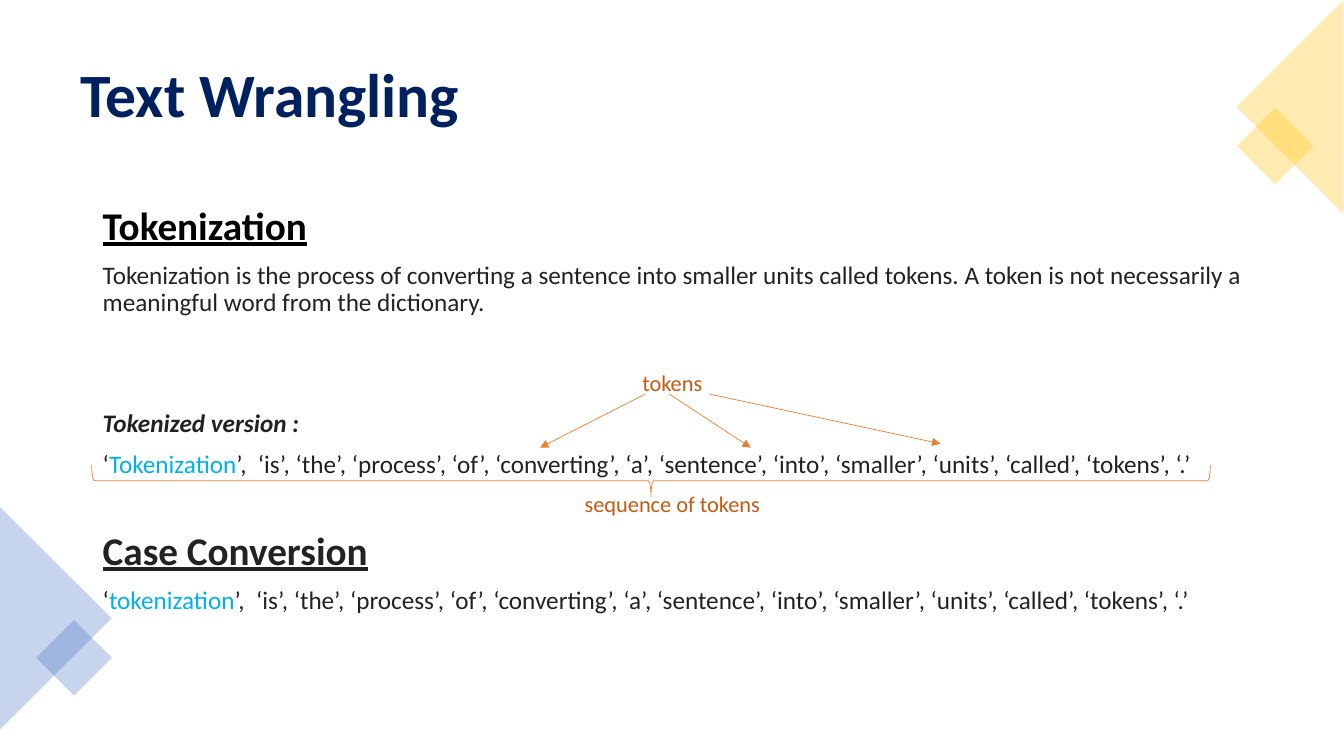
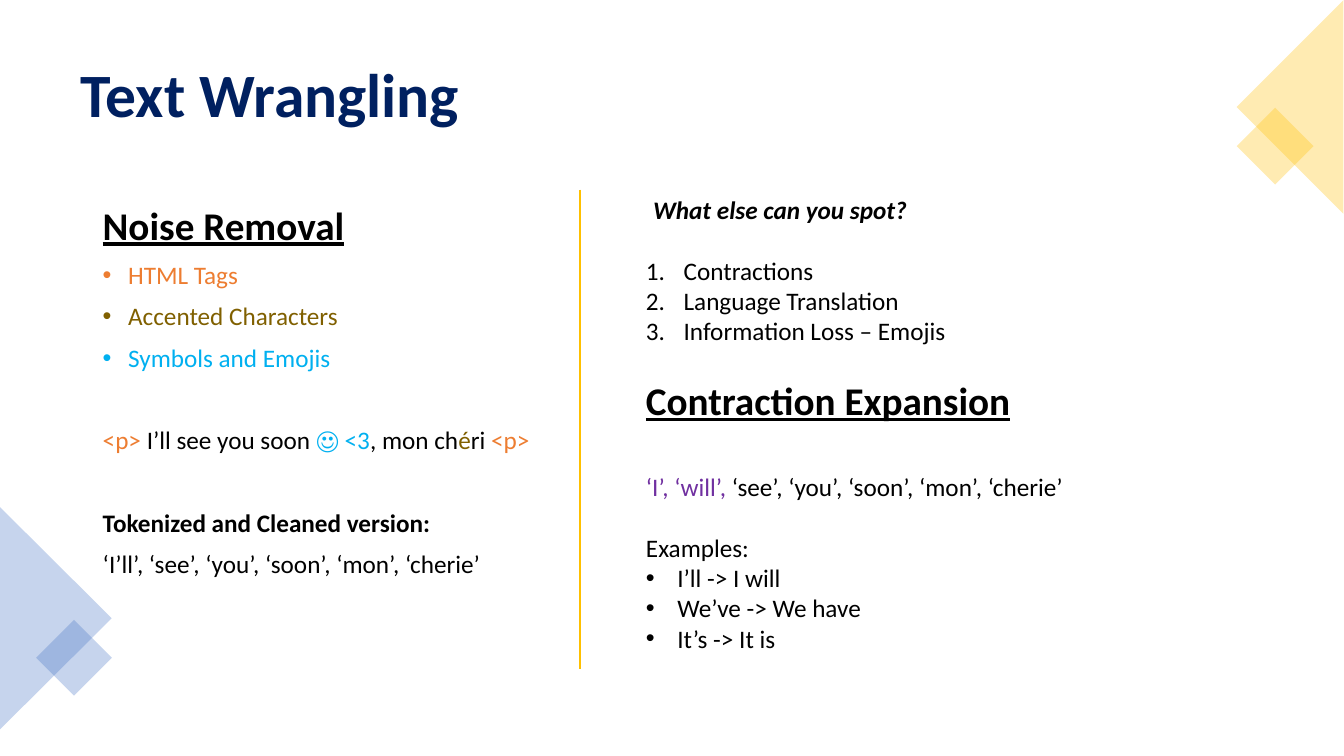
import dataclasses
import typing

import lxml.etree
import pptx
import pptx.dml.color
import pptx.enum.shapes
import pptx.enum.text
import pptx.oxml.ns
import pptx.slide
import pptx.text.text
import pptx.util

Cm = pptx.util.Cm
Pt = pptx.util.Pt
KIND = pptx.enum.shapes.MSO_SHAPE
ALIGN = pptx.enum.text.PP_ALIGN


@dataclasses.dataclass(frozen=True)
class Theme:
    """Colours, font and type sizes of the deck."""
    font: str = "Calibri"
    navy: str = "002060"
    black: str = "000000"
    ink: str = "222222"
    blue: str = "4472C4"
    gold: str = "FFC000"
    sky: str = "00B0F0"
    rust: str = "C55A11"
    coral: str = "ED7D31"
    olive: str = "806000"
    plum: str = "7030A0"
    title: float = 44
    head: float = 28
    text: float = 18
    note: float = 16
    tight: float = 0.9
    gap: float = 10
    wide: float = 39.5
    thin: float = 0.5


THEME = Theme()


@dataclasses.dataclass(frozen=True)
class Run:
    """A stretch of text in one format."""
    text: str
    hue: str = THEME.black
    size: float = THEME.text
    bold: bool = False
    slant: bool = False
    under: bool = False


@dataclasses.dataclass(frozen=True)
class Para:
    """A paragraph; mark is a bullet tag and hang its indent in cm."""
    runs: tuple[Run, ...]
    before: float = 0
    space: float = 1
    mark: str = ""
    hang: float = 0
    align: typing.Any = ALIGN.LEFT


@dataclasses.dataclass(frozen=True)
class Box:
    """A frame in cm with its turn in degrees."""
    left: float
    top: float
    width: float
    height: float
    turn: float = 0


@dataclasses.dataclass(frozen=True)
class Stroke:
    """A straight line in cm, with or without an arrowhead."""
    start: tuple[float, float]
    end: tuple[float, float]
    hue: str
    width: float
    arrow: bool = False


@dataclasses.dataclass(frozen=True)
class Corner:
    """A large triangle and a small diamond in one colour."""
    hue: str
    wedge: Box
    gem: Box


TITLE = Box(1.78, 0.89, 30.3, 3.15)
BODY = Box(2.34, 5.08, 29.21, 12.09)
CORNERS = (
    Corner(THEME.blue, Box(-1.4, 14.17, 5.61, 2.82, 90), Box(1.19, 15.9, 1.35, 1.35, 45)),
    Corner(THEME.gold, Box(29.82, 1.35, 5.38, 2.69, 270), Box(31.45, 3, 1.37, 1.37, 45)),
)


def tint(hue: str) -> pptx.dml.color.RGBColor:
    """Turn a hex code into a colour."""
    return pptx.dml.color.RGBColor.from_string(hue)


def sub(node: typing.Any, tag: str, **attrs: str) -> None:
    """Append a drawing element to a node."""
    lxml.etree.SubElement(node, pptx.oxml.ns.qn(tag), attrs)


def place(shape: typing.Any, box: Box) -> None:
    """Move and size a shape."""
    shape.left, shape.top = Cm(box.left), Cm(box.top)
    shape.width, shape.height = Cm(box.width), Cm(box.height)


def write(frame: pptx.text.text.TextFrame, paras: tuple[Para, ...]) -> None:
    """Fill a text frame run by run."""
    frame.word_wrap = True
    frame.auto_size = pptx.enum.text.MSO_AUTO_SIZE.NONE
    for spot, para in enumerate(paras):
        line = frame.add_paragraph() if spot else frame.paragraphs[0]
        line.alignment = para.align
        line.line_spacing = para.space
        line.space_before = Pt(para.before)
        if para.mark:
            props = line._p.get_or_add_pPr()
            props.set("marL", str(Cm(para.hang)))
            props.set("indent", str(-Cm(para.hang)))
            if para.mark == "number":
                sub(props, "a:buAutoNum", type="arabicPeriod")
            else:
                sub(props, "a:buFont", typeface="Arial")
                sub(props, "a:buChar", char=para.mark)
        for item in para.runs:
            run = line.add_run()
            run.text = item.text
            font = run.font
            font.name, font.size = THEME.font, Pt(item.size)
            font.bold, font.italic, font.underline = item.bold, item.slant, item.under
            font.color.rgb = tint(item.hue)


def add_text(slide: pptx.slide.Slide, box: Box, paras: tuple[Para, ...]) -> None:
    """Add a wrapped text box."""
    shape = slide.shapes.add_textbox(0, 0, 0, 0)
    place(shape, box)
    write(shape.text_frame, paras)


def add_shape(shapes: typing.Any, kind: typing.Any, box: Box) -> typing.Any:
    """Add a turned preset shape without shadow."""
    shape = shapes.add_shape(kind, 0, 0, 0, 0)
    place(shape, box)
    shape.rotation = box.turn
    shape.shadow.inherit = False
    return shape


def add_corner(slide: pptx.slide.Slide, corner: Corner) -> None:
    """Group the two sheer shapes of a corner."""
    group = slide.shapes.add_group_shape()
    for kind, box in ((KIND.ISOSCELES_TRIANGLE, corner.wedge), (KIND.RECTANGLE, corner.gem)):
        shape = add_shape(group.shapes, kind, box)
        shape.fill.solid()
        shape.fill.fore_color.rgb = tint(corner.hue)
        shape.line.fill.background()
        for node in shape._element.spPr.iter(pptx.oxml.ns.qn("a:srgbClr")):
            sub(node, "a:alpha", val="30000")


def add_brace(slide: pptx.slide.Slide, box: Box) -> None:
    """Add a thin brace."""
    brace = add_shape(slide.shapes, KIND.RIGHT_BRACE, box)
    brace.fill.background()
    brace.line.color.rgb = tint(THEME.coral)
    brace.line.width = Pt(THEME.thin)


def add_stroke(slide: pptx.slide.Slide, stroke: Stroke) -> None:
    """Draw a line or arrow."""
    ends = [Cm(part) for part in stroke.start + stroke.end]
    line = slide.shapes.add_connector(pptx.enum.shapes.MSO_CONNECTOR.STRAIGHT, *ends)
    line.line.color.rgb = tint(stroke.hue)
    line.line.width = Pt(stroke.width)
    if stroke.arrow:
        sub(line.line._get_or_add_ln(), "a:tailEnd", type="triangle")
    sub(line._element.spPr, "a:effectLst")


def add_slide(deck: typing.Any, title: str) -> pptx.slide.Slide:
    """Start a slide with its title and corners."""
    slide = deck.slides.add_slide(deck.slide_layouts.get_by_name("Title Only"))
    head = slide.shapes.title
    place(head, TITLE)
    head.text_frame.vertical_anchor = pptx.enum.text.MSO_ANCHOR.MIDDLE
    run = Run(title, THEME.navy, THEME.title, bold=True)
    write(head.text_frame, (Para((run,), space=THEME.tight),))
    for corner in CORNERS:
        add_corner(slide, corner)
    return slide


def body(*runs: Run, before: float = THEME.gap, **rest: typing.Any) -> Para:
    """Make a paragraph with the spacing of the main text."""
    return Para(runs, before, THEME.tight, **rest)


def head(text: str, hue: str = THEME.black) -> Run:
    """Make an underlined heading."""
    return Run(text, hue, THEME.head, bold=True, under=True)


def quote(words: str) -> str:
    """Put each word in quotes and join them with commas."""
    return ", ".join(f"‘{word}’" for word in words.split())


def tokens(first: str) -> Para:
    """List the tokens with the first one in colour."""
    rest = quote("is the process of converting a sentence into smaller units called tokens .")
    return body(Run("‘", THEME.ink), Run(first, THEME.sky), Run("’,  " + rest, THEME.ink))


def label(text: str, before: float = THEME.gap) -> Para:
    """Make a small centred note."""
    return body(Run(text, THEME.rust, THEME.note), before=before, align=ALIGN.CENTER)


def draw_tokens(deck: typing.Any) -> None:
    """Build the slide on tokens and case."""
    slide = add_slide(deck, "Text Wrangling")
    add_text(slide, BODY, (
        body(head("Tokenization")),
        body(Run("Tokenization is the process of converting a sentence into smaller units "
                 "called tokens. A token is not necessarily a meaningful word from the "
                 "dictionary.", THEME.ink)),
        label("tokens", THEME.wide),
        body(Run("Tokenized version : ", THEME.ink, bold=True, slant=True)),
        tokens("Tokenization"),
        label("sequence of tokens"),
        body(head("Case Conversion", THEME.ink)),
        tokens("tokenization"),
    ))
    add_brace(slide, Box(16, -1.98, 0.81, 28.19, 90))
    for start, end in ((16.26, (13.61, 11.28)), (16.87, (18.92, 11.28)), (17.88, (23.7, 11.18))):
        add_stroke(slide, Stroke((start, 9.93), end, THEME.coral, THEME.thin, arrow=True))


def draw_noise(deck: typing.Any) -> None:
    """Build the slide on noise and contractions."""
    slide = add_slide(deck, "Text Wrangling")
    kinds = (("HTML Tags", THEME.coral), ("Accented Characters", THEME.olive),
             ("Symbols and Emojis", THEME.sky))
    clean = quote("see you soon mon cherie")
    add_text(slide, BODY, (
        body(head("Noise Removal")),
        *(body(Run(text, hue), mark="•", hang=0.64) for text, hue in kinds),
        body(Run("<p> ", THEME.coral), Run("I’ll see you soon "), Run("☺ <3", THEME.sky),
             Run(", mon ch"), Run("é", THEME.olive), Run("ri "), Run("<p>", THEME.coral),
             before=THEME.wide),
        body(Run("Tokenized and Cleaned version:", bold=True), before=THEME.wide),
        body(Run("‘I’ll’, " + clean)),
    ))
    add_stroke(slide, Stroke((14.61, 4.78), (14.61, 16.87), THEME.gold, 1.5))
    add_text(slide, Box(16.21, 4.78, 12.32, 1.02),
             (Para((Run("What else can you spot?", bold=True, slant=True),)),))
    spots = ("Contractions", "Language Translation", "Information Loss – Emojis")
    pairs = ("I’ll -> I will", "We’ve -> We have", "It’s -> It is")
    add_text(slide, Box(16.03, 6.3, 11.48, 10.34), (
        *(Para((Run(text),), mark="number", hang=0.95) for text in spots),
        Para((head("Contraction Expansion"),), before=22),
        Para((Run("‘I’, ‘will’, ", THEME.plum), Run(clean)), before=34),
        Para((Run("Examples: "),), before=22),
        *(Para((Run(text),), mark="•", hang=0.79) for text in pairs),
    ))


def main() -> None:
    """Build and save the deck."""
    deck = pptx.Presentation()
    deck.slide_width, deck.slide_height = Cm(33.87), Cm(19.05)
    draw_tokens(deck)
    draw_noise(deck)
    deck.save("out.pptx")


main()
